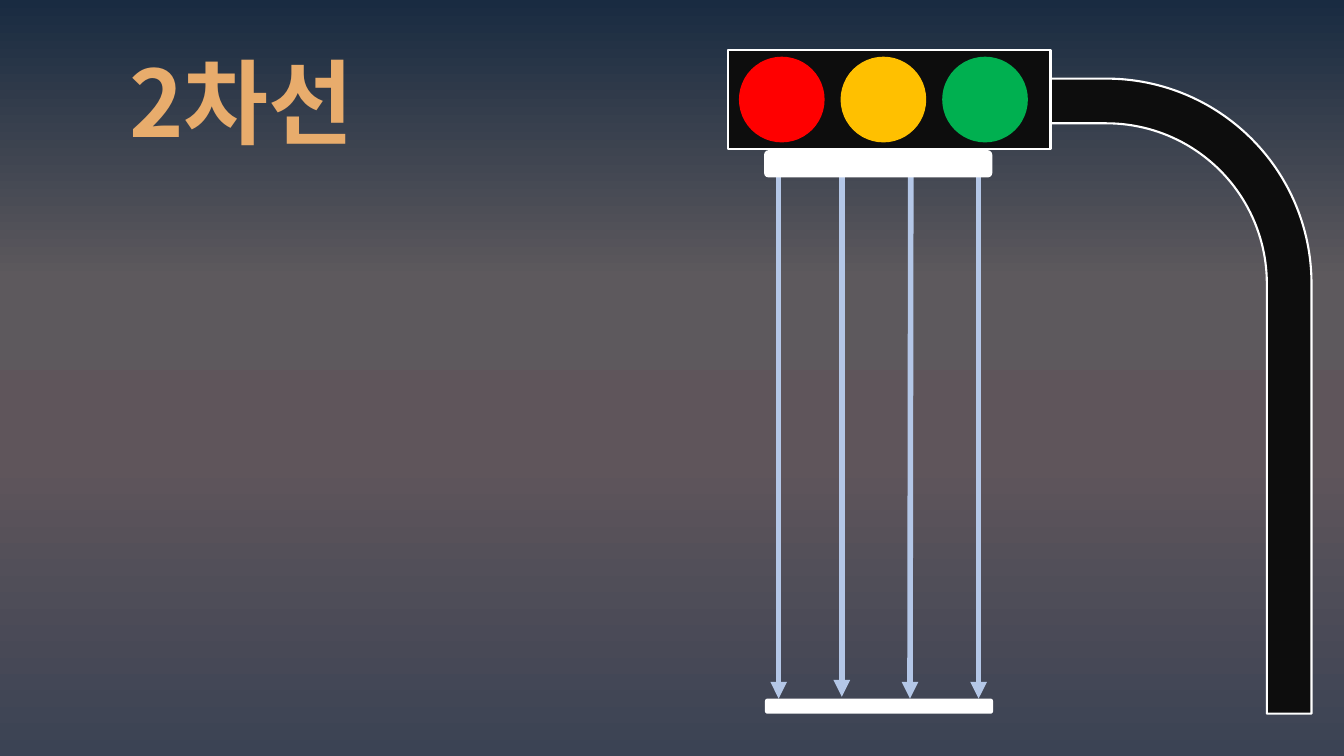
from copy import deepcopy

from pptx import Presentation
from pptx.dml.color import RGBColor
from pptx.enum.shapes import MSO_CONNECTOR, MSO_SHAPE
from pptx.enum.text import MSO_ANCHOR, MSO_AUTO_SIZE, PP_ALIGN
from pptx.oxml.ns import qn
from pptx.util import Pt
from lxml import etree

STRAIGHT = MSO_CONNECTOR.STRAIGHT
RECTANGLE = MSO_SHAPE.RECTANGLE
ROUNDED = MSO_SHAPE.ROUNDED_RECTANGLE
OVAL = MSO_SHAPE.OVAL
BENT_ARROW = MSO_SHAPE.BENT_ARROW
TOP = MSO_ANCHOR.TOP
NO_AUTO_SIZE = MSO_AUTO_SIZE.NONE
CENTER = PP_ALIGN.CENTER

FONT = "Noto Sans CJK KR"
COLORS = {
    "title": "E8AC6C",
    "beam": "B4C7E7",
    "white": "FFFFFF",
    "black": "0D0D0D",
    "red": "FF0000",
    "amber": "FFC000",
    "green": "00B050",
}
SKY = [(0, "192B41"), (0.37, "5D595D"), (0.61, "5F555B"), (1, "3B4354")]


class SlideBuilder:
    def __init__(self, presentation):
        self.slide = presentation.slides.add_slide(presentation.slide_layouts[5])

    def color(self, name):
        return RGBColor.from_string(COLORS[name])

    def background(self, stops):
        fill = self.slide.background.fill
        fill.gradient()
        fill.gradient_angle = 270
        stop_list = next(self.slide.element.iter(qn("a:gsLst")))
        while len(stop_list) < len(stops):
            stop_list.append(deepcopy(stop_list[0]))
        for stop, (position, color) in zip(fill.gradient_stops, stops):
            stop.position = position
            stop.color.rgb = RGBColor.from_string(color)

    def title(self, text, left, top, width, height):
        shape = self.slide.shapes.title
        shape.left, shape.top, shape.width, shape.height = map(
            Pt, (left, top, width, height))
        frame = shape.text_frame
        frame.text = text
        frame.word_wrap = True
        frame.auto_size = NO_AUTO_SIZE
        frame.vertical_anchor = TOP
        paragraph = frame.paragraphs[0]
        paragraph.alignment = CENTER
        paragraph.line_spacing = 0.9
        font = paragraph.runs[0].font
        for name, value in {"name": FONT, "size": Pt(66), "bold": True}.items():
            setattr(font, name, value)
        font.color.rgb = self.color("title")
        properties = paragraph.runs[0].font._element
        etree.SubElement(properties, qn("a:ea")).set("typeface", FONT)

    def shape(self, kind, left, top, width, height, fill,
              outlined=False, adjustments=(), flipped=False):
        shape = self.slide.shapes.add_shape(
            kind, *map(Pt, (left, top, width, height)))
        shape.shadow.inherit = False
        shape.fill.solid()
        shape.fill.fore_color.rgb = self.color(fill)
        if outlined:
            shape.line.color.rgb = self.color("white")
            shape.line.width = Pt(1.5)
        else:
            shape.line.fill.background()
        for index, value in enumerate(adjustments):
            shape.adjustments[index] = value
        if flipped:
            shape.element.spPr.find(qn("a:xfrm")).set("flipH", "1")

    def arrow(self, start_x, start_y, end_x, end_y):
        connector = self.slide.shapes.add_connector(
            STRAIGHT, *map(Pt, (start_x, start_y, end_x, end_y)))
        connector.line.color.rgb = self.color("beam")
        connector.line.width = Pt(4)
        line = connector.line._get_or_add_ln()
        etree.SubElement(line, qn("a:tailEnd")).set("type", "triangle")
        etree.SubElement(connector.element.spPr, qn("a:effectLst"))


def main():
    presentation = Presentation()
    presentation.slide_width = Pt(960)
    presentation.slide_height = Pt(540)
    builder = SlideBuilder(presentation)
    builder.background(SKY)
    builder.title("2차선", 9.4, 37.4, 326.2, 87.1)

    for start_x, end_x, end_y in [(556.2, 556.2, 499), (601.3, 601.3, 497.7),
                                  (650.6, 650, 499), (699, 699, 499)]:
        builder.arrow(start_x, 120.2, end_x, end_y)
    builder.shape(ROUNDED, 545.8, 107.3, 163, 19.5, "white")
    builder.shape(ROUNDED, 546.4, 499, 163, 10.8, "white")

    builder.shape(BENT_ARROW, 527.8, 56.2, 409, 453.6, "black", outlined=True,
                  adjustments=(0.128, 0.039, 0.171, 0.358), flipped=True)
    builder.shape(RECTANGLE, 520, 35.5, 230.4, 71.2, "black", outlined=True)
    for index, color in enumerate(("red", "amber", "green")):
        builder.shape(OVAL, 527.8 + 72.6 * index, 40.5, 61.2, 61.2, color)

    presentation.save("out.pptx")


if __name__ == "__main__":
    main()
